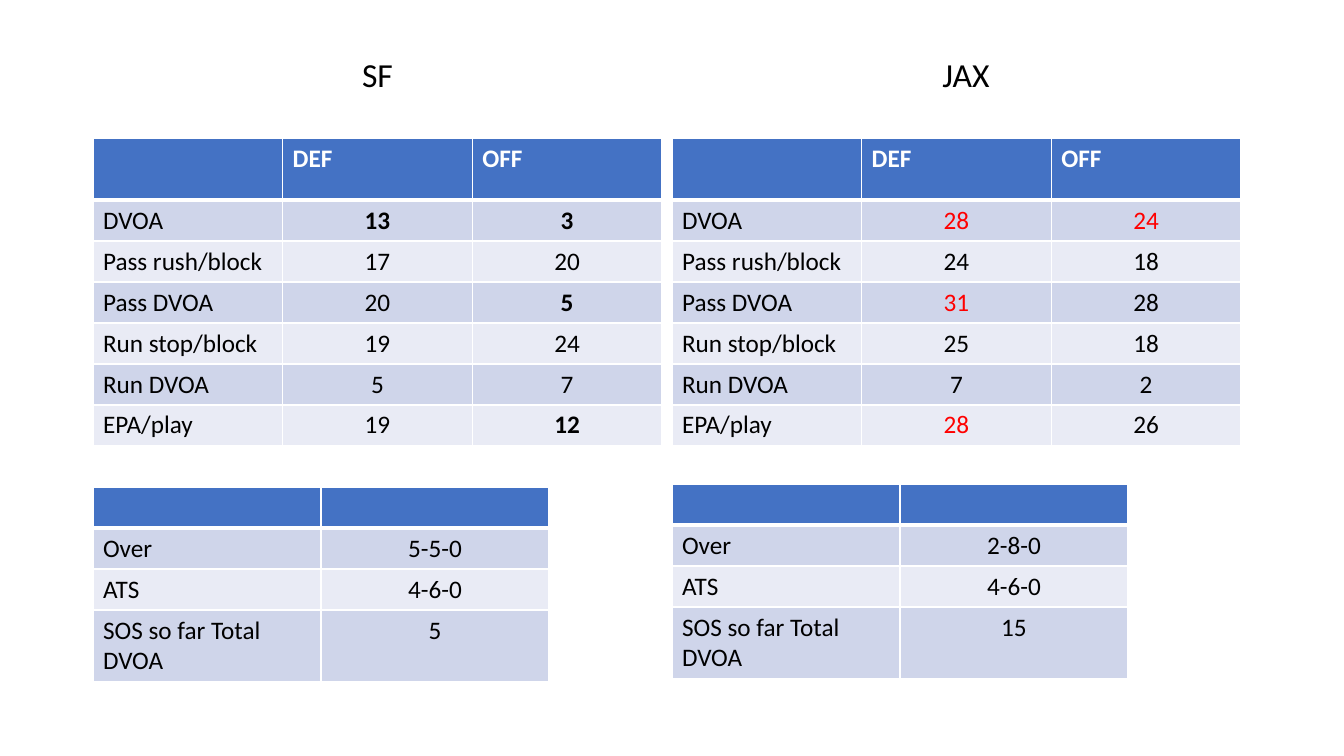
import dataclasses

import pptx
import pptx.dml.color
import pptx.enum.text
import pptx.oxml
import pptx.oxml.ns
import pptx.util

PIXELS_PER_INCH = 100.8
COMPARISON_LAYOUT = 4


@dataclasses.dataclass(frozen=True)
class Theme:
    font: str = "Calibri"
    heading_size: int = 24
    cell_size: int = 18
    ink: str = "000000"
    white: str = "FFFFFF"
    alert: str = "FF0000"
    header_fill: str = "4472C4"
    dark_band: str = "CFD5EA"
    light_band: str = "E9EBF5"
    thin_rule: int = 1
    thick_rule: int = 3


THEME = Theme()
LEFT = pptx.enum.text.PP_ALIGN.LEFT
CENTER = pptx.enum.text.PP_ALIGN.CENTER


@dataclasses.dataclass(frozen=True)
class Mark:
    """A ranking that stands out from its neighbours."""
    value: str
    bold: bool = False
    color: str = THEME.ink


def strong(value):
    return Mark(value, bold=True)


def alert(value):
    return Mark(value, color=THEME.alert)


RANK_HEADER = ["", "DEF", "OFF"]
RANK_HEIGHTS = [62] + [41] * 6
RECORD_HEADER = ["", ""]
RECORD_HEIGHTS = [41, 41, 41, 71]

SF_RANKS = [
    ["DVOA", strong("13"), strong("3")],
    ["Pass rush/block", "17", "20"],
    ["Pass DVOA", "20", strong("5")],
    ["Run stop/block", "19", "24"],
    ["Run DVOA", "5", "7"],
    ["EPA/play", "19", strong("12")],
]
JAX_RANKS = [
    ["DVOA", alert("28"), alert("24")],
    ["Pass rush/block", "24", "18"],
    ["Pass DVOA", alert("31"), "28"],
    ["Run stop/block", "25", "18"],
    ["Run DVOA", "7", "2"],
    ["EPA/play", alert("28"), "26"],
]
SF_RECORD = [["Over", "5-5-0"], ["ATS", "4-6-0"], ["SOS so far Total DVOA", "5"]]
JAX_RECORD = [["Over", "2-8-0"], ["ATS", "4-6-0"], ["SOS so far Total DVOA", "15"]]


def px(pixels):
    return pptx.util.Emu(round(pixels * 914400 / PIXELS_PER_INCH))


def rgb(color):
    return pptx.dml.color.RGBColor.from_string(color)


def write_text(frame, text, size=THEME.cell_size, color=THEME.ink, bold=False,
               align=LEFT, line_spacing=None, space_before=0):
    paragraph = frame.paragraphs[0]
    paragraph.alignment = align
    paragraph.line_spacing = line_spacing
    paragraph.space_before = pptx.util.Pt(space_before)
    paragraph.font.size = pptx.util.Pt(size)
    if text:
        run = paragraph.add_run()
        run.text = text
        run.font.name = THEME.font
        run.font.size = pptx.util.Pt(size)
        run.font.bold = bold
        run.font.color.rgb = rgb(color)


def add_heading(placeholder, team, left, top, width, height):
    placeholder.left, placeholder.top = px(left), px(top)
    placeholder.width, placeholder.height = px(width), px(height)
    placeholder.text_frame.vertical_anchor = pptx.enum.text.MSO_ANCHOR.BOTTOM
    write_text(placeholder.text_frame, team, size=THEME.heading_size,
               align=CENTER, line_spacing=0.9, space_before=10)


def rule_cell(cell, top, bottom):
    """Draw white rules on all four sides; must come before the fill."""
    properties = cell._tc.get_or_add_tcPr()
    sides = {"L": THEME.thin_rule, "R": THEME.thin_rule, "T": top, "B": bottom}
    for side, weight in sides.items():
        properties.append(pptx.oxml.parse_xml(
            f'<a:ln{side} {pptx.oxml.ns.nsdecls("a")} w="{pptx.util.Pt(weight)}">'
            f'<a:solidFill><a:srgbClr val="{THEME.white}"/></a:solidFill>'
            f'</a:ln{side}>'))


def add_stats_table(slide, header, body, left, top, width, heights):
    frame = slide.shapes.add_table(len(heights), len(header), px(left), px(top),
                                   px(width), px(sum(heights)))
    stats = frame.table
    for column in stats.columns:
        column.width = px(width / len(header))
    for row, height in zip(stats.rows, heights):
        row.height = px(height)

    for row_number, entries in enumerate([header] + body):
        is_header = row_number == 0
        band = THEME.dark_band if row_number % 2 else THEME.light_band
        for column_number, entry in enumerate(entries):
            cell = stats.cell(row_number, column_number)
            rule_cell(cell,
                      top=THEME.thick_rule if row_number == 1 else THEME.thin_rule,
                      bottom=THEME.thick_rule if is_header else THEME.thin_rule)
            cell.fill.solid()
            cell.fill.fore_color.rgb = rgb(THEME.header_fill if is_header else band)
            if is_header:
                write_text(cell.text_frame, entry, color=THEME.white, bold=True)
            else:
                mark = entry if isinstance(entry, Mark) else Mark(entry)
                write_text(cell.text_frame, mark.value, color=mark.color,
                           bold=mark.bold, align=CENTER if column_number else LEFT)


def main():
    deck = pptx.Presentation()
    deck.slide_width, deck.slide_height = px(1344), px(756)
    slide = deck.slides.add_slide(deck.slide_layouts[COMPARISON_LAYOUT])

    # Team headings
    headings = {1: ("SF", 93, 9, 569, 91), 3: ("JAX", 680, 9, 572, 91)}
    for placeholder in list(slide.placeholders):
        index = placeholder.placeholder_format.idx
        if index in headings:
            add_heading(placeholder, *headings[index])
        else:
            placeholder.element.getparent().remove(placeholder.element)

    # Rankings above, season record below, one side per team
    for left, ranks, record, record_top in [(93, SF_RANKS, SF_RECORD, 487),
                                            (672, JAX_RANKS, JAX_RECORD, 484)]:
        add_stats_table(slide, RANK_HEADER, ranks, left, 138, 569, RANK_HEIGHTS)
        add_stats_table(slide, RECORD_HEADER, record, left, record_top, 456,
                        RECORD_HEIGHTS)

    deck.save("out.pptx")


main()
